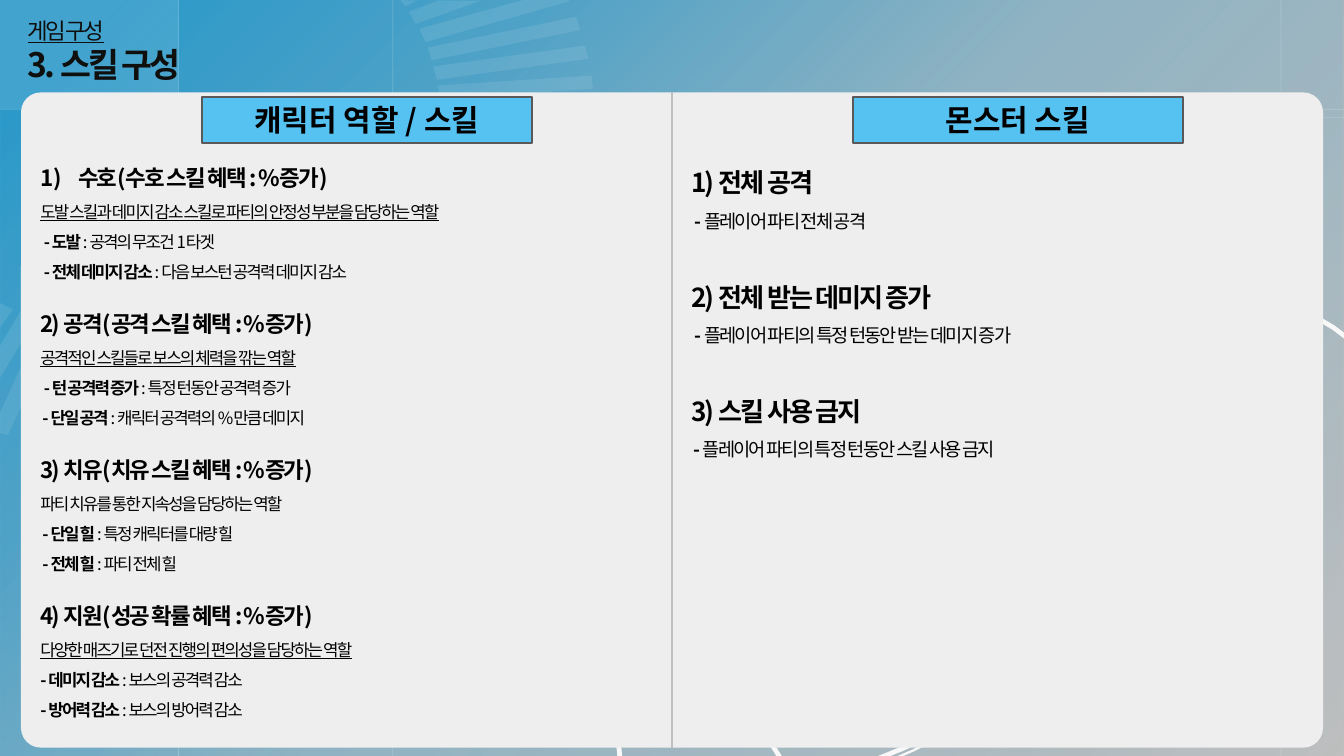
from dataclasses import dataclass

import pptx
import pptx.dml.color
import pptx.enum.shapes
import pptx.enum.text
import pptx.oxml.ns
import pptx.oxml.xmlchemy
import pptx.util

FONT = "Noto Sans CJK KR"
EMU_PER_PX = 9525
WIDTH, HEIGHT = 1920, 1080
CURVE_STEPS = 24
SHAPES = pptx.enum.shapes.MSO_SHAPE


@dataclass
class Arc:
    weight: float
    start: tuple
    curves: list  # each: control 1, control 2, end


@dataclass
class Skill:
    name: str
    text: str
    indent: int = 5


@dataclass
class Section:
    heading: str
    skills: list
    summary: str = ""
    summary_underlined: bool = True
    numbered: bool = False


@dataclass
class Column:
    box: tuple
    label: str
    label_left: int
    heading_size: int
    skill_size: int
    gap: int
    sections: list


GRADIENT = [(6, 83), (26, 63), (50, 27), (100, 0)]  # position %, opacity %
GUIDES = [(x, 0, x, HEIGHT) for x in (255, 1830, 561)] + [
    (0, 156, WIDTH, 156), (1215, 168, WIDTH, 168)]
BLADES = [
    [(572, 0), (596, 1), (579, 9)],
    [(626, 1), (687, 1), (594, 34), (584, 17)],
    [(805, -16), (813, 2), (608, 60), (599, 41)],
    [(823, 24), (829, 43), (617, 86), (611, 68)],
    [(836, 65), (840, 84), (624, 114), (619, 95)],
    [(845, 108), (847, 127), (628, 141), (626, 122)],
    [(62, 457), (85, 464), (11, 622), (-12, 615)],
    [(29, 445), (52, 454), (0, 540), (0, 494)],
    [(0, 433), (19, 442), (0, 468)],
]
ARCS = [
    Arc(5, (923, 1216), [((809, 988), (952, 670), (1246, 498)), ((1540, 327), (1877, 363), (2014, 580))]),
    Arc(2, (921, 1217), [((807, 988), (950, 671), (1244, 499)), ((1538, 327), (1878, 364), (2012, 581))]),
    Arc(5, (1257, 483), [((1050, 673), (997, 936), (1131, 1105))]),
    Arc(2.25, (1372, 396), [((1221, 489), (1111, 628), (1071, 775)), ((1032, 919), (1068, 1058), (1169, 1146))]),
    Arc(5, (1100, 1114), [((1407, 1101), (1699, 802), (1788, 408))]),
    Arc(2.5, (933, 1110), [((1113, 1164), (1315, 1104), (1482, 949)), ((1649, 796), (1764, 563), (1793, 317))]),
]
COLUMNS = [
    Column((48, 211, 896, 928), "캐릭터 역할 / 스킬", 288, 24, 18, 16, [
        Section("수호(수호 스킬 혜택 : %증가)",
                [Skill("도발 ", ": 공격의 무조건 1타겟"),
                 Skill("전체 데미지 감소 ", ": 다음 보스턴 공격력 데미지 감소")],
                "도발 스킬과 데미지 감소 스킬로 파티의 안정성 부분을 담당하는 역할", numbered=True),
        Section("2) 공격(공격 스킬 혜택 : %증가)",
                [Skill("턴 공격력 증가 ", ": 특정 턴동안 공격력 증가"),
                 Skill("단일 공격 ", ": 캐릭터 공격력의 %만큼 데미지", 3)],
                "공격적인 스킬들로 보스의 체력을 깎는 역할"),
        Section("3) 치유(치유 스킬 혜택 : %증가)",
                [Skill("단일 힐 ", ": 특정 캐릭터를 대량 힐", 3),
                 Skill("전체 힐 ", ": 파티 전체 힐", 3)],
                "파티 치유를 통한 지속성을 담당하는 역할", summary_underlined=False),
        Section("4) 지원(성공 확률 혜택 : %증가)",
                [Skill("데미지 감소 ", ": 보스의 공격력 감소", 0),
                 Skill("방어력 감소 ", ": 보스의 방어력 감소", 0)],
                "다양한 매즈기로 던전 진행의 편의성을 담당하는 역할"),
    ]),
    Column((978, 211, 896, 449), "몬스터 스킬", 1218, 28, 20, 36, [
        Section("1) 전체 공격", [Skill("", "플레이어 파티 전체 공격")]),
        Section("2) 전체 받는 데미지 증가", [Skill("", "플레이어 파티의 특정 턴동안 받는 데미지 증가")]),
        Section("3) 스킬 사용 금지", [Skill("", "플레이어 파티의 특정 턴동안 스킬 사용 금지", 3)]),
    ]),
]


def px(length: int) -> pptx.util.Emu:
    return pptx.util.Emu(length * EMU_PER_PX)


def color(value: str) -> pptx.dml.color.RGBColor:
    return pptx.dml.color.RGBColor.from_string(value)


def add_child(parent, tag: str, **attributes: str):
    child = parent.makeelement(pptx.oxml.ns.qn(tag), attributes)
    parent.append(child)
    return child


def set_opacity(element, percent: int) -> None:
    for node in element.iter(pptx.oxml.ns.qn("a:srgbClr")):
        add_child(node, "a:alpha", val=str(percent * 1000))


def paint(shape, fill: str = "", line: str = "", weight: float = 1) -> None:
    shape.shadow.inherit = False
    if fill:
        shape.fill.solid()
        shape.fill.fore_color.rgb = color(fill)
    else:
        shape.fill.background()
    if line:
        shape.line.color.rgb = color(line)
        shape.line.width = pptx.util.Pt(weight)
    else:
        shape.line.fill.background()


def add_box(slide, kind, box: tuple, fill: str, line: str = "", weight: float = 1):
    shape = slide.shapes.add_shape(kind, *map(px, box))
    paint(shape, fill, line, weight)
    return shape


def add_line(slide, ends: tuple, line: str, weight: float):
    connector = slide.shapes.add_connector(
        pptx.enum.shapes.MSO_CONNECTOR.STRAIGHT, *map(px, ends))
    connector.line.color.rgb = color(line)
    connector.line.width = pptx.util.Pt(weight)
    add_child(connector._element.spPr, "a:effectLst")
    return connector


def add_outline(slide, points: list, close: bool):
    builder = slide.shapes.build_freeform(*points[0], scale=EMU_PER_PX)
    builder.add_line_segments(points[1:], close=close)
    return builder.convert_to_shape()


def arc_points(arc: Arc) -> list:
    points = [arc.start]
    for curve in arc.curves:
        corners = [points[-1], *curve]
        for step in range(1, CURVE_STEPS + 1):
            t = step / CURVE_STEPS
            weights = ((1 - t) ** 3, 3 * t * (1 - t) ** 2, 3 * t * t * (1 - t), t ** 3)
            points.append(tuple(sum(w * corner[axis] for w, corner in zip(weights, corners))
                                for axis in (0, 1)))
    return points


def style(paragraph, size: int, bold=None, spacing: int = 0, ink: str = "000000") -> None:
    font = paragraph.font
    font.name, font.size, font.bold = FONT, pptx.util.Pt(size), bold
    font.color.rgb = color(ink)
    properties = paragraph._p.pPr.find(pptx.oxml.ns.qn("a:defRPr"))
    properties.set("spc", str(spacing * 100))
    add_child(properties, "a:ea", typeface=FONT)


def add_paragraph(frame, runs: list, size: int, indent: int = 0, numbered: bool = False):
    """Add a body line; runs are (text, bold) pairs."""
    first = not frame.paragraphs[0].runs
    paragraph = frame.paragraphs[0] if first else frame.add_paragraph()
    properties = paragraph._p.get_or_add_pPr()
    hanging = 54 if numbered else 0
    properties.set("marL", str(px(indent + hanging)))
    properties.set("indent", str(px(-hanging)))
    if numbered:
        add_child(properties, "a:buFont", typeface=FONT)
        add_child(properties, "a:buAutoNum", type="arabicParenR")
    else:
        add_child(properties, "a:buNone")
    paragraph.line_spacing = 1.5
    paragraph.space_before = pptx.util.Pt(0)
    style(paragraph, size, runs[0][1] if len(runs) == 1 else None, -2)
    for text, bold in runs:
        run = paragraph.add_run()
        run.text = text
        if len(runs) > 1:
            run.font.bold = bold
    return paragraph


def place(placeholder, box: tuple):
    placeholder.left, placeholder.top, placeholder.width, placeholder.height = map(px, box)
    frame = placeholder.text_frame
    frame.word_wrap = True
    frame.auto_size = pptx.enum.text.MSO_AUTO_SIZE.NONE
    placeholder._element.getparent().append(placeholder._element)  # bring to front
    return frame


def draw_backdrop(slide) -> None:
    slide.background.fill.solid()
    slide.background.fill.fore_color.rgb = color("BFBFBF")
    wash = add_box(slide, SHAPES.RECTANGLE, (0, 0, WIDTH, HEIGHT), "")
    wash.fill.gradient()
    wash.fill.gradient_angle = 315
    stops = wash._element.spPr.find(".//" + pptx.oxml.ns.qn("a:gsLst"))
    stops.clear()
    for position, opacity in GRADIENT:
        stop = add_child(stops, "a:gs", pos=str(position * 1000))
        add_child(stop, "a:srgbClr", val="0F92CC")
        set_opacity(stop, opacity)
    set_opacity(add_box(slide, SHAPES.RECTANGLE, (0, 0, 255, 156), "FFFFFF")._element, 10)
    for ends in GUIDES:
        set_opacity(add_line(slide, ends, "FFFFFF", 0.75)._element, 20)
    for points in BLADES:
        blade = add_outline(slide, points, True)
        paint(blade, "F2FAFE")
        set_opacity(blade._element, 10)
    for arc in ARCS:
        paint(add_outline(slide, arc_points(arc), False), "", "F8F8F8", arc.weight)


def draw_title(slide) -> None:
    frame = place(slide.shapes.title, (30, 19, 602, 107))
    frame.vertical_anchor = pptx.enum.text.MSO_ANCHOR.MIDDLE
    frame.text = "게임 구성\n3. 스킬 구성"
    for paragraph, size, bold in zip(frame.paragraphs, (24, 36), (False, True)):
        paragraph.alignment = pptx.enum.text.PP_ALIGN.LEFT
        style(paragraph, size, bold, -3, "0F0F0E")
        paragraph.font.underline = not bold


def draw_column(slide, placeholder, column: Column) -> None:
    frame = place(placeholder, column.box)
    for index, section in enumerate(column.sections):
        heading = add_paragraph(frame, [(section.heading, True)], column.heading_size,
                                numbered=section.numbered)
        if index:
            heading.space_before = pptx.util.Pt(column.gap)
        if section.summary:
            summary = add_paragraph(frame, [(section.summary, False)], column.skill_size)
            summary.font.underline = section.summary_underlined
        for skill in section.skills:
            add_paragraph(frame, [("- " + skill.name, True), (skill.text, False)],
                          column.skill_size, skill.indent)

    # Column label
    label = add_box(slide, SHAPES.RECTANGLE, (column.label_left, 138, 472, 66), "56C2F2", "595959", 2)
    label.text_frame.margin_top = label.text_frame.margin_bottom = px(10)
    label.text_frame.text = column.label
    paragraph = label.text_frame.paragraphs[0]
    paragraph.alignment = pptx.enum.text.PP_ALIGN.CENTER
    style(paragraph, 32, True)


def main() -> None:
    presentation = pptx.Presentation()
    presentation.slide_width, presentation.slide_height = px(WIDTH), px(HEIGHT)
    slide = presentation.slides.add_slide(presentation.slide_layouts[3])
    bodies = [slide.placeholders[1], slide.placeholders[2]]
    draw_backdrop(slide)
    draw_title(slide)

    # Panel with its divider
    panel = add_box(slide, SHAPES.ROUNDED_RECTANGLE, (30, 132, 1860, 936), "EEEEEE")
    panel.adjustments[0] = 0.03
    add_line(slide, (960, 132, 960, 1068), "BFBFBF", 2.25)
    for body, column in zip(bodies, COLUMNS):
        draw_column(slide, body, column)
    presentation.save("out.pptx")


if __name__ == "__main__":
    main()
